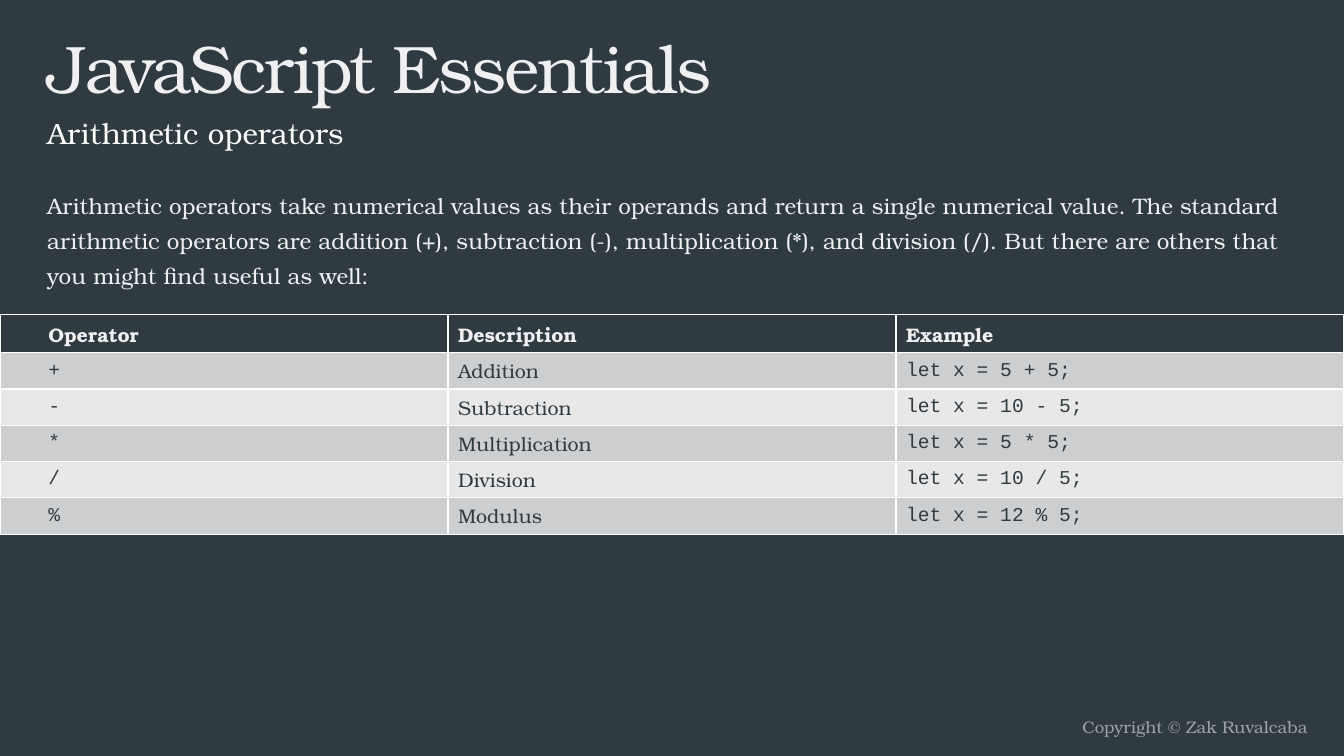
from pptx import Presentation
from pptx.dml.color import RGBColor
from pptx.enum.text import MSO_ANCHOR, PP_ALIGN
from pptx.util import Inches, Pt

LEFT, RIGHT = PP_ALIGN.LEFT, PP_ALIGN.RIGHT
MIDDLE = MSO_ANCHOR.MIDDLE
SERIF, MONO = "TeX Gyre Bonum", "Courier New"
SLATE, PALE, WHITE, GREY = "303B41", "F0F0F2", "FFFFFF", "A1A1AD"
BANDS = ["CDCECF", "E8E8E9"]


def rgb(value):
    return RGBColor.from_string(value)


def write(frame, text, size, color, font=SERIF, bold=False, align=LEFT, spacing=1.0):
    paragraph = frame.paragraphs[0]
    paragraph.alignment = align
    paragraph.line_spacing = spacing
    run = paragraph.add_run()
    run.text = text
    run.font.name = font
    run.font.size = Pt(size)
    run.font.bold = bold
    run.font.color.rgb = rgb(color)
    return run


deck = Presentation()
deck.slide_width = Inches(13.33)
deck.slide_height = Inches(7.5)
slide = deck.slides.add_slide(deck.slide_layouts[6])
slide.background.fill.solid()
slide.background.fill.fore_color.rgb = rgb(SLATE)

explanation = (
    "Arithmetic operators take numerical values as their operands and return a single "
    "numerical value. The standard arithmetic operators are addition (+), subtraction (-), "
    "multiplication (*), and division (/). But there are others that you might find useful as well:"
)
passages = [
    ((0.37, 0.21, 11.76, 0.79), "JavaScript Essentials", 48, PALE, LEFT, 1.0, -150),
    ((0.37, 0.99, 11.76, 0.39), "Arithmetic operators", 21, WHITE, LEFT, 1.3, 0),
    ((0.37, 1.78, 12.58, 1.2), explanation, 16, PALE, LEFT, 1.3, 0),
    ((6.67, 7.06, 6.4, 0.31), "Copyright © Zak Ruvalcaba", 12, GREY, RIGHT, 1.0, 0),
]
for place, text, size, color, align, spacing, tracking in passages:
    frame = slide.shapes.add_textbox(*map(Inches, place)).text_frame
    frame.word_wrap = True
    run = write(frame, text, size, color, align=align, spacing=spacing)
    if tracking:
        run._r.get_or_add_rPr().set("spc", str(tracking))

operators = [
    ("Operator", "Description", "Example"),
    ("+", "Addition", "let x = 5 + 5;"),
    ("-", "Subtraction", "let x = 10 - 5;"),
    ("*", "Multiplication", "let x = 5 * 5;"),
    ("/", "Division", "let x = 10 / 5;"),
    ("%", "Modulus", "let x = 12 % 5;"),
]
table = slide.shapes.add_table(
    len(operators), 3, Inches(0), Inches(3.12), Inches(13.33), Inches(2.18)
).table
for column in table.columns:
    column.width = Inches(13.33 / 3)
for row, entries in enumerate(operators):
    header = row == 0
    table.rows[row].height = Inches(0.38 if header else 0.36)
    for column, text in enumerate(entries):
        cell = table.cell(row, column)
        cell.vertical_anchor = MIDDLE
        cell.margin_left = Inches(0.48 if column == 0 else 0.1)
        cell.fill.solid()
        cell.fill.fore_color.rgb = rgb(SLATE if header else BANDS[(row - 1) % 2])
        font = SERIF if header or column == 1 else MONO
        write(cell.text_frame, text, 14, PALE if header else SLATE, font, header)

deck.save("out.pptx")
